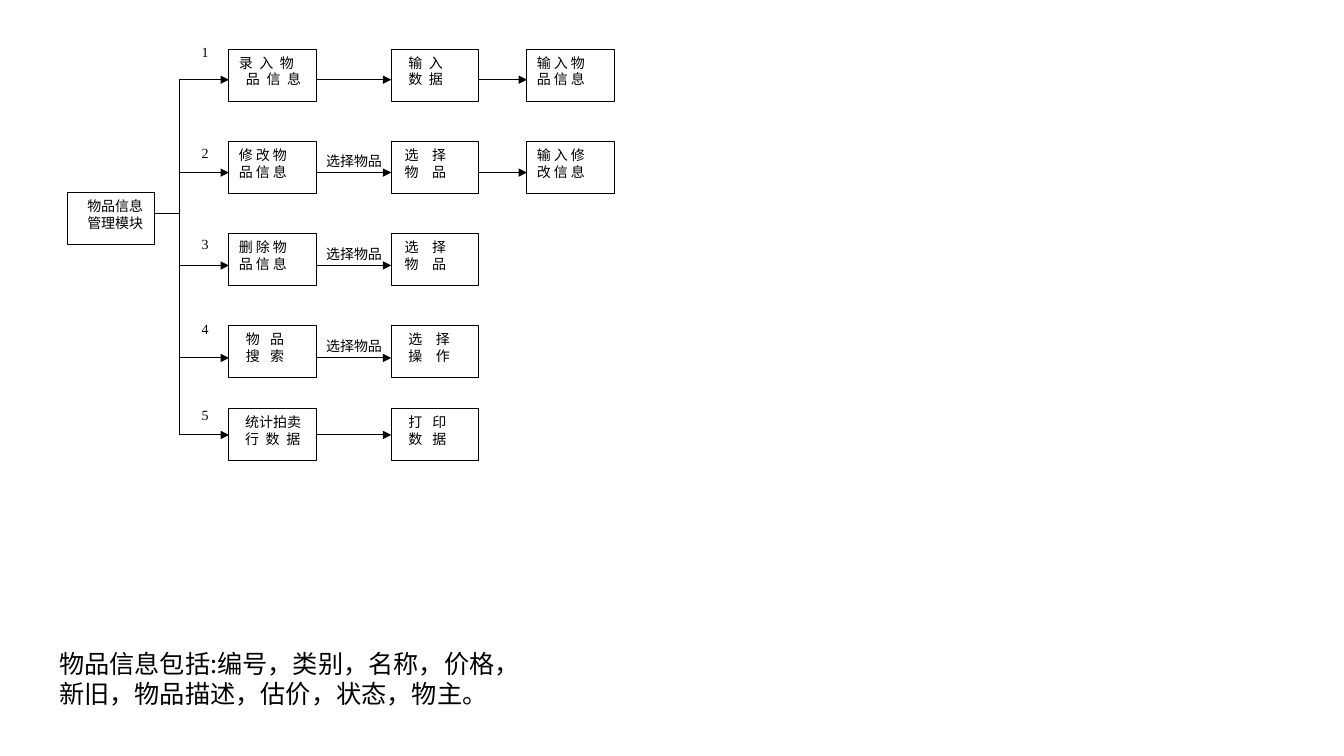
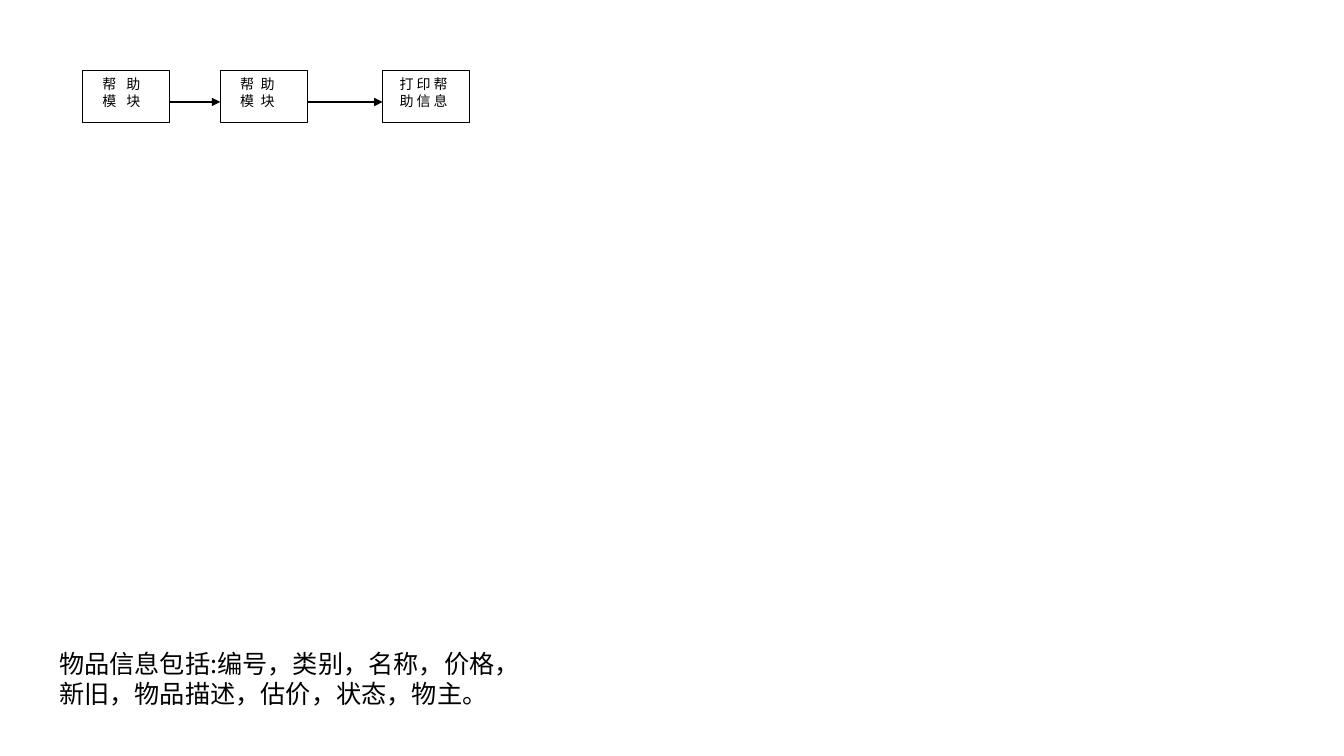
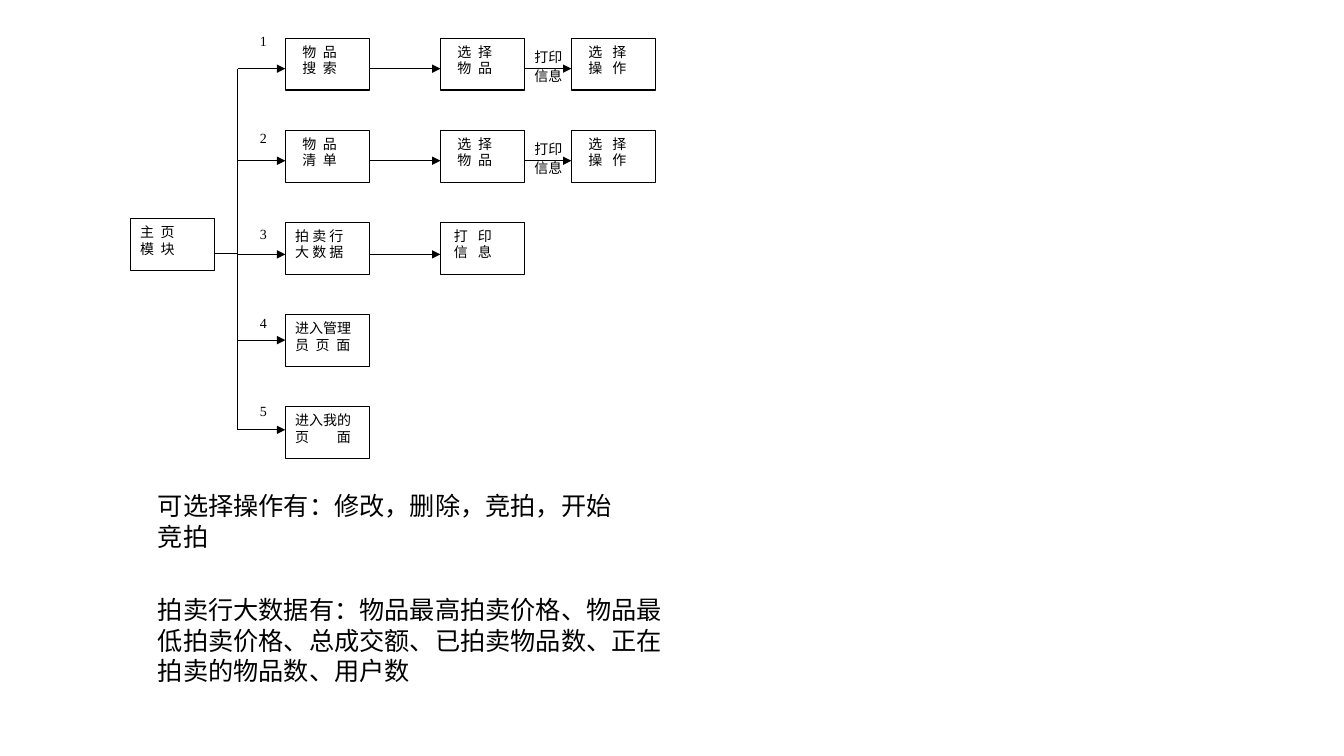
from itertools import cycle

from lxml import etree
from pptx import Presentation
from pptx.dml.color import RGBColor
from pptx.enum.shapes import MSO_CONNECTOR, MSO_SHAPE
from pptx.enum.text import MSO_ANCHOR, PP_ALIGN
from pptx.oxml.ns import qn
from pptx.util import Cm, Pt

RECTANGLE = MSO_SHAPE.RECTANGLE
STRAIGHT = MSO_CONNECTOR.STRAIGHT
TOP, LEFT = MSO_ANCHOR.TOP, PP_ALIGN.LEFT

# Shared look
BLACK = RGBColor(0x00, 0x00, 0x00)
WHITE = RGBColor(0xFF, 0xFF, 0xFF)
CJK_FONT = "Noto Sans CJK SC"
STEP_FONT = {"name": "Times New Roman", "size": Pt(10)}
LABEL_FONT = {"name": CJK_FONT, "size": Pt(10)}
NOTE_FONT = {"name": CJK_FONT, "size": Pt(18)}
STROKE = Pt(0.75)
STEP_HEIGHT = 1.31
SPACE_WIDTH = 250  # one space at 10 pt, in hundredths of a point

# Step: text, width of its gaps in spaces, left indent of its lines in cm
SELECT_ITEM = ("选 择\n物 品", 4, 0.09)
PICK_ITEM = ("选 择\n物 品", 2, 0.18)
PICK_ACTION = ("选 择\n操 作", 3, 0.18)
ITEM_NOTE = (1.24, 16.2, 12.62, 1.8,
             "物品信息包括:编号，类别，名称，价格，新旧，物品描述，估价，状态，物主。")

# Row: top of number, top of steps, height of arrows, steps, labels on last arrow
DIAGRAMS = [
    {
        "step_width": 2.2, "columns": (5.77, 9.86, 13.28),
        "root": (1.7, 4.85, ("物品信息\n管理模块", 1, 0.25)),
        "root_line": 5.38, "trunk": 4.52, "number_left": 4.83,
        "label_column": 1,
        "rows": [
            (0.97, 1.24, 2.01, [("录 入 物\n品 信 息", 2, 0, 0.18),
                                ("输 入\n数 据", 2, 0.18),
                                ("输 入 物\n品 信 息", 1, 0)], []),
            (3.51, 3.56, 4.35, [("修 改 物\n品 信 息", 1, 0), SELECT_ITEM,
                                ("输 入 修\n改 信 息", 1, 0)], ["选择物品"]),
            (5.82, 5.89, 6.69, [("删 除 物\n品 信 息", 1, 0), SELECT_ITEM],
             ["选择物品"]),
            (7.95, 8.21, 9.02, [("物 品\n搜 索", 3, 0.18),
                                ("选 择\n操 作", 4, 0.18)], ["选择物品"]),
            (10.13, 10.3, 10.96, [("统计拍卖\n行 数 据", 2, 0.16),
                                  ("打 印\n数 据", 3, 0.18)], []),
        ],
        "notes": [ITEM_NOTE],
    },
    {
        "step_width": 2.2, "columns": (2.08, 5.55, 9.64),
        "rows": [
            (0, 1.78, 2.57, [("帮 助\n模 块", 3, 0.25),
                             ("帮 助\n模 块", 2, 0.25),
                             ("打 印 帮\n助 信 息", 1, 0.18)], []),
        ],
        "notes": [ITEM_NOTE],
    },
    {
        "step_width": 2.12, "columns": (7.19, 11.1, 14.4),
        "root": (3.28, 5.51, ("主 页\n模 块", 2, 0)),
        "root_line": 6.38, "trunk": 5.99, "number_left": 6.3,
        "label_column": 2,
        "rows": [
            (0.69, 0.96, 1.73, [("物 品\n搜 索", 2, 0.18), PICK_ITEM,
                                PICK_ACTION], ["打印", "信息"]),
            (3.15, 3.28, 4.05, [("物 品\n清 单", 2, 0.18), PICK_ITEM,
                                PICK_ACTION], ["打印", "信息"]),
            (5.56, 5.6, 6.41, [("拍 卖 行\n大 数 据", 1, 0),
                               ("打 印\n信 息", 3, 0.09)], []),
            (7.8, 7.92, 8.57, [("进入管理\n员 页 面", 2, 0)], []),
            (10.03, 10.24, 10.83, [("进入我的\n页 面", 8, 0)], []),
        ],
        "notes": [
            (3.73, 12.24, 12.22, 1.8,
             "可选择操作有：修改，删除，竞拍，开始竞拍"),
            (3.73, 14.86, 13.3, 2.57,
             "拍卖行大数据有：物品最高拍卖价格、物品最低拍卖价格、总成交额、"
             "已拍卖物品数、正在拍卖的物品数、用户数"),
        ],
    },
]


def add_text(slide, place, step, font, framed=False, wrap=True):
    text, gap, *indents = step
    place = [Cm(length) for length in place]
    if framed:
        box = slide.shapes.add_shape(RECTANGLE, *place)
        box.shadow.inherit = False
        box.fill.solid()
        box.fill.fore_color.rgb = WHITE
        box.line.color.rgb = BLACK
        box.line.width = STROKE
    else:
        box = slide.shapes.add_textbox(*place)
    frame = box.text_frame
    for key, value in {"text": text, "word_wrap": wrap,
                       "vertical_anchor": TOP}.items():
        setattr(frame, key, value)
    for paragraph, indent in zip(frame.paragraphs, cycle(indents)):
        paragraph.alignment = LEFT
        if indent:
            paragraph._p.get_or_add_pPr().set("marL", str(Cm(indent)))
        run = paragraph.runs[0]
        for key, value in font.items():
            setattr(run.font, key, value)
        run.font.color.rgb = BLACK
        properties = run._r.get_or_add_rPr()
        etree.SubElement(properties, qn("a:ea"), typeface=CJK_FONT)
        # Widened letter spacing opens the gap on both sides of each space
        if gap > 1 and " " in run.text:
            properties.set("spc", str((gap - 1) * SPACE_WIDTH // 2))


def add_line(slide, start, end, arrow=True):
    line = slide.shapes.add_connector(
        STRAIGHT, *[Cm(length) for length in (*start, *end)])
    line.line.color.rgb = BLACK
    line.line.width = STROKE
    properties = line._element.spPr
    if arrow:
        etree.SubElement(properties.find(qn("a:ln")), qn("a:tailEnd"),
                         type="triangle")
    etree.SubElement(properties, qn("a:effectLst"))


deck = Presentation()
deck.slide_width, deck.slide_height = Cm(33.87), Cm(19.05)
blank = deck.slide_layouts[6]

for diagram in DIAGRAMS:
    slide = deck.slides.add_slide(blank)
    step_width, columns = diagram["step_width"], diagram["columns"]
    rows = diagram["rows"]
    has_root = "root" in diagram

    # Module on the left and the trunk its branches leave from
    if has_root:
        root_left, root_top, root_step = diagram["root"]
        root_line, trunk = diagram["root_line"], diagram["trunk"]
        add_text(slide, (root_left, root_top, step_width, STEP_HEIGHT),
                 root_step, STEP_FONT, framed=True)
        add_line(slide, (root_left + step_width, root_line),
                 (trunk, root_line), arrow=False)
        add_line(slide, (trunk, rows[0][2]), (trunk, rows[-1][2]), arrow=False)

    for number, (number_top, top, arrow_y, steps, labels) in enumerate(rows, 1):
        # Numbered branch
        if has_root:
            add_text(slide, (diagram["number_left"], number_top, 0.64, 0.79),
                     (str(number), 1, 0), STEP_FONT)
            add_line(slide, (trunk, arrow_y), (columns[0], arrow_y))

        # Steps and the arrows between them
        for column, (left, step) in enumerate(zip(columns, steps)):
            add_text(slide, (left, top, step_width, STEP_HEIGHT), step,
                     STEP_FONT, framed=True)
            if column:
                add_line(slide, (columns[column - 1] + step_width, arrow_y),
                         (left, arrow_y))

        # Labels around an arrow
        for index, label in enumerate(labels):
            label_left = columns[diagram["label_column"] - 1] + step_width
            add_text(slide, (label_left, arrow_y - 0.64 + 0.48 * index,
                             0.51 + 0.355 * len(label), 0.69),
                     (label, 1, 0), LABEL_FONT, wrap=False)

    # Notes below the diagram
    for *place, note in diagram["notes"]:
        add_text(slide, place, (note, 1, 0), NOTE_FONT)

deck.save("out.pptx")
